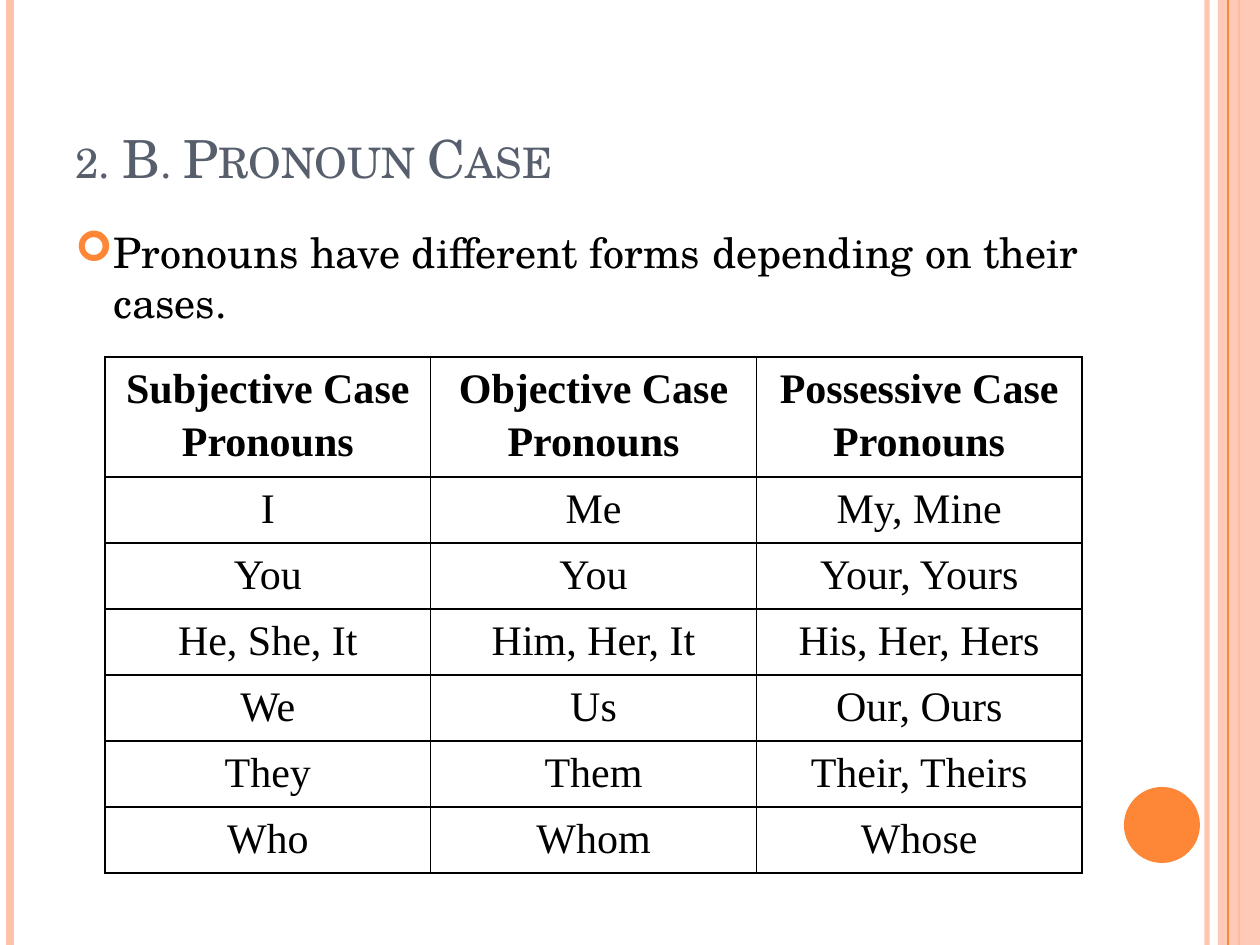
from lxml.etree import SubElement
from pptx import Presentation
from pptx.dml.color import RGBColor
from pptx.enum.shapes import MSO_CONNECTOR, MSO_SHAPE
from pptx.enum.text import MSO_ANCHOR, MSO_AUTO_SIZE, PP_ALIGN
from pptx.oxml import parse_xml
from pptx.oxml.ns import nsdecls, qn
from pptx.util import Pt

COLORS = {"peach": "FEC2AC", "orange": "FE8637", "slate": "575F6D", "black": "000000"}
SERIF, TABLE_FONT = "TeX Gyre Schola", "Times New Roman"
BULLET_FONT, BULLET = "Wingdings", "¢"
WIDTH, HEIGHT = 1260, 945

TITLE = "2. B. Pronoun Case"
STATEMENT = "Pronouns have different forms depending on their cases."
PRONOUNS = [
    ("Subjective Case Pronouns", "Objective Case Pronouns", "Possessive Case Pronouns"),
    ("I", "Me", "My, Mine"),
    ("You", "You", "Your, Yours"),
    ("He, She, It", "Him, Her, It", "His, Her, Hers"),
    ("We", "Us", "Our, Ours"),
    ("They", "Them", "Their, Theirs"),
    ("Who", "Whom", "Whose"),
]
STRIPES_BELOW = [(1207, "peach", 3, 93), (10, "peach", 4.5, 100), (1239, "orange", 1.5, 100)]
STRIPES_ABOVE = [(1228, "orange", 0.75, 100)]
TITLE_BOX = (63, 38, 1029, 157)
STATEMENT_BOX = (63, 220, 1029, 672)
BAND_BOX = (1218, 0, 42, HEIGHT)
DOT_BOX = (1124, 787, 76, 76)
TABLE_LEFT, TABLE_TOP, TABLE_WIDTH = 105, 357, 977
ROW_HEIGHT = 66
CELL_MARGIN, BULLET_INDENT = 2, 38


def px(length):
    return round(length * 914400 / 126)


def rgb(name):
    return RGBColor.from_string(COLORS[name])


def set_opacity(element, percent):
    if percent < 100:
        for color in element.iter(qn("a:srgbClr")):
            SubElement(color, qn("a:alpha"), val=str(percent * 1000))


def add_stripe(slide, x, color, weight, opacity):
    stripe = slide.shapes.add_connector(MSO_CONNECTOR.STRAIGHT, px(x), 0, px(x), px(HEIGHT))
    stripe.line.color.rgb = rgb(color)
    stripe.line.width = Pt(weight)
    properties = stripe._element.spPr
    set_opacity(properties, opacity)
    SubElement(properties, qn("a:effectLst"))


def add_solid(slide, preset, box, color, opacity=100):
    solid = slide.shapes.add_shape(preset, *map(px, box))
    solid.shadow.inherit = False
    solid.fill.solid()
    solid.fill.fore_color.rgb = rgb(color)
    solid.line.fill.background()
    set_opacity(solid._element.spPr, opacity)


def add_text(paragraph, words, font, size, color, bold=False):
    run = paragraph.add_run()
    run.text = words
    run.font.name = font
    run.font.size = Pt(size)
    run.font.bold = bold
    run.font.color.rgb = rgb(color)
    return run


def write_title(slide):
    title = slide.shapes.title
    title.left, title.top, title.width, title.height = map(px, TITLE_BOX)
    frame = title.text_frame
    frame.auto_size = MSO_AUTO_SIZE.NONE
    frame.vertical_anchor = MSO_ANCHOR.BOTTOM
    paragraph = frame.paragraphs[0]
    paragraph.alignment = PP_ALIGN.LEFT
    heading = add_text(paragraph, TITLE, SERIF, 30, "slate")
    heading.font._element.set("cap", "small")


def write_statement(slide):
    frame = slide.shapes.add_textbox(*map(px, STATEMENT_BOX)).text_frame
    frame.word_wrap = True
    paragraph = frame.paragraphs[0]
    properties = paragraph._p.get_or_add_pPr()
    properties.set("marL", str(px(BULLET_INDENT)))
    properties.set("indent", str(-px(BULLET_INDENT)))
    bullet_color = SubElement(properties, qn("a:buClr"))
    SubElement(bullet_color, qn("a:srgbClr"), val=COLORS["orange"])
    SubElement(properties, qn("a:buFont"), typeface=BULLET_FONT, pitchFamily="2", charset="2")
    SubElement(properties, qn("a:buChar"), char=BULLET)
    add_text(paragraph, STATEMENT, SERIF, 24, "black")


def add_borders(cell):
    properties = cell._tc.get_or_add_tcPr()
    for position, side in enumerate(("lnL", "lnR", "lnT", "lnB")):
        properties.insert(position, parse_xml(
            f'<a:{side} {nsdecls("a")} w="{Pt(1)}"><a:solidFill>'
            f'<a:srgbClr val="{COLORS["black"]}"/></a:solidFill></a:{side}>'))


def fill_cell(cell, words, bold):
    cell.fill.background()
    add_borders(cell)
    cell.margin_left = cell.margin_right = px(CELL_MARGIN)
    cell.margin_top = cell.margin_bottom = px(CELL_MARGIN)
    paragraph = cell.text_frame.paragraphs[0]
    paragraph.alignment = PP_ALIGN.CENTER
    paragraph.line_spacing = 1.15
    add_text(paragraph, words, TABLE_FONT, 24, "black", bold)


def add_pronoun_table(slide):
    row_count, column_count = len(PRONOUNS), len(PRONOUNS[0])
    table = slide.shapes.add_table(
        row_count, column_count, px(TABLE_LEFT), px(TABLE_TOP),
        px(TABLE_WIDTH), px(ROW_HEIGHT * row_count)).table
    table.horz_banding = False
    for column in table.columns:
        column.width = px(TABLE_WIDTH / column_count)
    for r, pronouns in enumerate(PRONOUNS):
        table.rows[r].height = px(ROW_HEIGHT)
        for c, words in enumerate(pronouns):
            fill_cell(table.cell(r, c), words, bold=r == 0)


def main():
    deck = Presentation()
    deck.slide_width, deck.slide_height = px(WIDTH), px(HEIGHT)
    slide = deck.slides.add_slide(deck.slide_layouts[5])
    for stripe in STRIPES_BELOW:
        add_stripe(slide, *stripe)
    add_solid(slide, MSO_SHAPE.RECTANGLE, BAND_BOX, "peach", 87)
    for stripe in STRIPES_ABOVE:
        add_stripe(slide, *stripe)
    add_solid(slide, MSO_SHAPE.OVAL, DOT_BOX, "orange")
    write_title(slide)
    write_statement(slide)
    add_pronoun_table(slide)
    deck.save("out.pptx")


if __name__ == "__main__":
    main()
